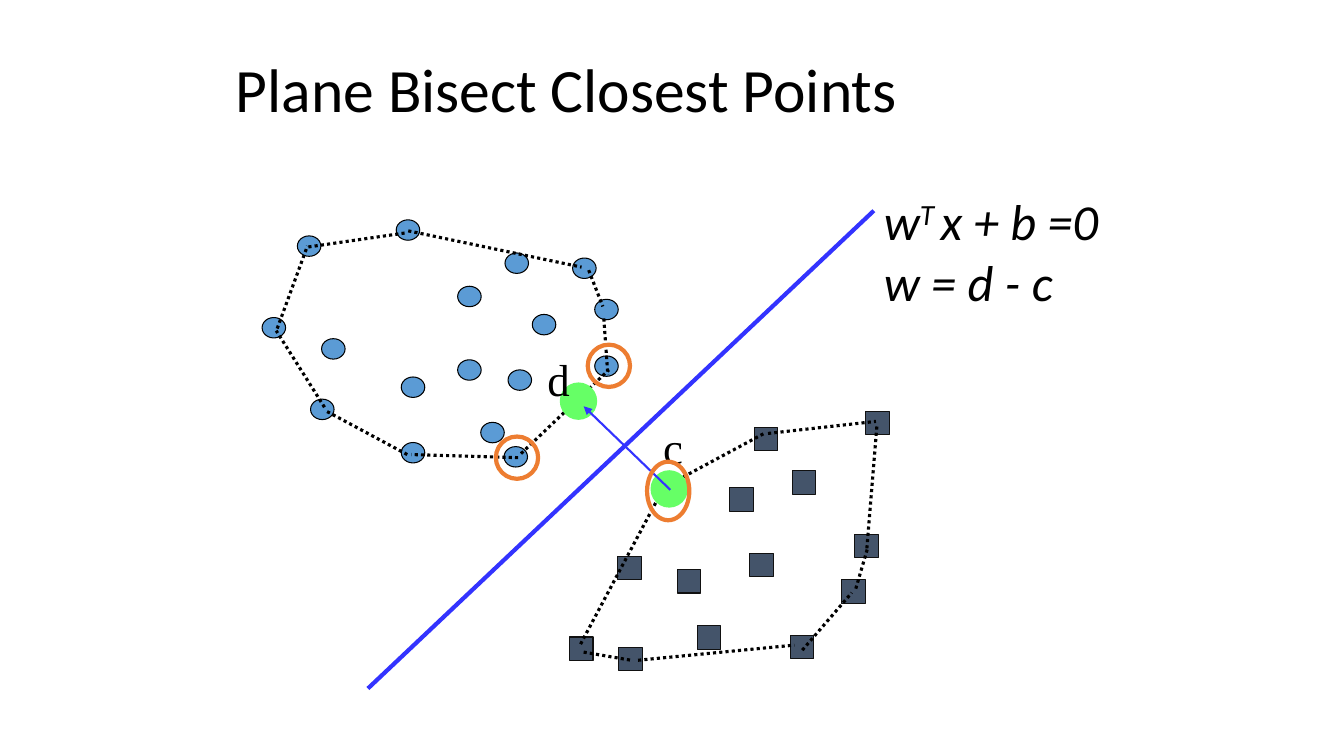
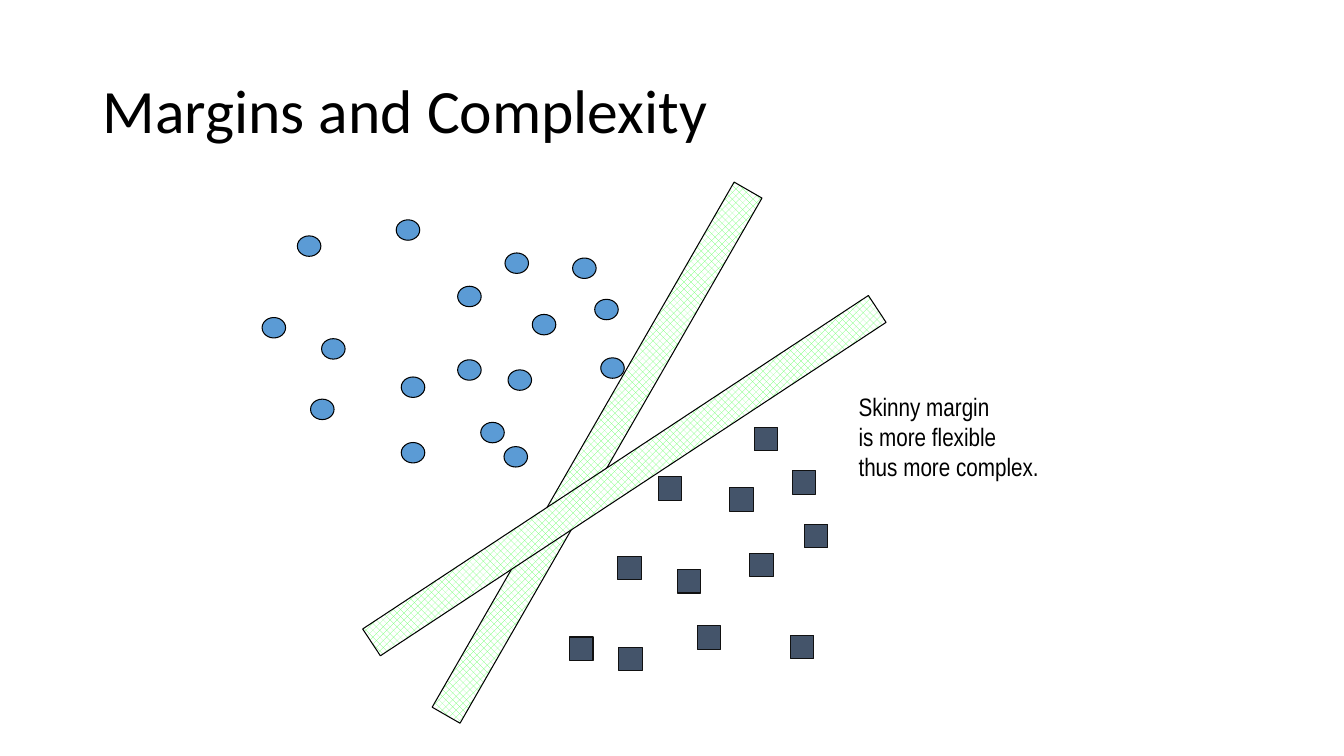
import dataclasses

import pptx
import pptx.dml.color
import pptx.enum.dml
import pptx.enum.shapes
import pptx.enum.text
import pptx.oxml.ns
import pptx.util
from lxml import etree

Pt = pptx.util.Pt
Shapes = pptx.enum.shapes.MSO_SHAPE


@dataclasses.dataclass(frozen=True)
class Theme:
    black: str = "000000"
    white: str = "FFFFFF"
    circle: str = "5B9BD5"
    square: str = "44546A"
    square_line: str = "111111"
    plane: str = "3333FF"
    green: str = "66FF66"
    ring: str = "ED7D31"
    body_font: str = "Calibri"
    label_font: str = "Times New Roman"
    note_font: str = "Arial Narrow"
    title_size: int = 44
    equation_size: int = 36
    label_size: int = 32
    note_size: int = 18
    thin: float = 0.75
    arrow: float = 1.5
    medium: float = 2.25
    thick: float = 3


THEME = Theme()

# All positions below are in points, measured from the corner of PLOT_BOX.
PLOT_BOX = (180, 144)
CIRCLE_SIZE = (16.8, 14.6)
SQUARE_SIZE = (16.8, 16.8)
CIRCLES = [
    (32.4, 24.5), (7.2, 82.8), (49.7, 97.9), (200.2, 80.6), (146.9, 60.5),
    (41.8, 141.1), (244.8, 69.8), (182.9, 120.2), (106.6, 125.3), (106.6, 172.1),
    (180.7, 36.7), (180, 175), (229, 40.3), (146.9, 113), (163.4, 157.7), (103, 13),
]
SQUARES = [
    (290.2, 196.6), (385.9, 192.2), (261.4, 253.4), (262.1, 318.2), (226.8, 311),
    (318.2, 303.1), (384.5, 309.6), (355.7, 251.3), (358.6, 161.3), (341.3, 204.5),
    (303.8, 262.8),
]
HULL_EDGES = [
    (192.2, 180, 254.9, 120.2), (110.9, 180.7, 51.8, 149),
    (190.1, 182.9, 113.8, 180.7), (51.8, 146.9, 17.3, 92.2),
    (18, 90.7, 39.6, 31.7), (40.3, 32.4, 110.2, 22.3),
    (111.6, 20.9, 235.4, 46.8), (240.5, 49, 250.6, 74.9),
    (251.3, 83.5, 254.2, 123.8), (234.7, 316.1, 295.2, 202.3),
    (300.2, 200.9, 365.8, 165.6), (275.8, 327.6, 387.4, 316.8),
    (236.9, 321.8, 270.7, 327.6), (393.1, 320.4, 428.4, 279.4),
    (431.3, 276.5, 439.9, 247), (368.6, 165.6, 445.7, 157),
    (439.2, 247.7, 446.4, 159.8),
]
CLOSEST_POINTS = [(221, 130.3), (285.8, 193)]
RINGS = [(282.2, 185.8, 30.2, 41.8), (174.2, 167.8, 30.2, 30.2), (239.8, 102.2, 30.2, 30.2)]


def rgb(value):
    return pptx.dml.color.RGBColor.from_string(value)


def add_titled_slide(presentation, title, left, top, width, height):
    slide = presentation.slides.add_slide(presentation.slide_layouts.get_by_name("Title Only"))
    shape = slide.shapes.title
    shape.left, shape.top, shape.width, shape.height = map(Pt, (left, top, width, height))
    frame = shape.text_frame
    frame.text = title
    frame.vertical_anchor = pptx.enum.text.MSO_ANCHOR.MIDDLE
    paragraph = frame.paragraphs[0]
    paragraph.alignment = pptx.enum.text.PP_ALIGN.LEFT
    paragraph.line_spacing = 0.9
    format_run(paragraph.runs[0], THEME.body_font, THEME.title_size)
    return slide


def format_run(run, font, size, italic=None):
    run.font.name = font
    run.font.size = Pt(size)
    run.font.italic = italic
    run.font.color.rgb = rgb(THEME.black)


def add_shape(slide, box, kind, left, top, width, height, line, weight, fill=None):
    shape = slide.shapes.add_shape(
        kind, Pt(box[0] + left), Pt(box[1] + top), Pt(width), Pt(height))
    shape.shadow.inherit = False
    shape.line.color.rgb = rgb(line)
    shape.line.width = Pt(weight)
    if fill:
        shape.fill.solid()
        shape.fill.fore_color.rgb = rgb(fill)
    else:
        shape.fill.background()
    return shape


def add_line(slide, box, ends, color, weight, dash=None, arrow=False):
    x1, y1, x2, y2 = ends
    line = slide.shapes.add_connector(
        pptx.enum.shapes.MSO_CONNECTOR.STRAIGHT,
        Pt(box[0] + x1), Pt(box[1] + y1), Pt(box[0] + x2), Pt(box[1] + y2))
    line.line.color.rgb = rgb(color)
    line.line.width = Pt(weight)
    if dash:
        line.line.dash_style = dash
    if arrow:
        tail = etree.SubElement(line.line._get_or_add_ln(), pptx.oxml.ns.qn("a:tailEnd"))
        tail.set("type", "triangle")
    etree.SubElement(line._element.spPr, pptx.oxml.ns.qn("a:effectLst"))


def add_text(slide, box, place, lines, font, size, italic=None):
    """Each line is a list of (text, superscript) pairs."""
    left, top, width, height = place
    shape = slide.shapes.add_textbox(
        Pt(box[0] + left), Pt(box[1] + top), Pt(width), Pt(height))
    frame = shape.text_frame
    frame.word_wrap = False
    for index, parts in enumerate(lines):
        paragraph = frame.add_paragraph() if index else frame.paragraphs[0]
        for text, superscript in parts:
            run = paragraph.add_run()
            run.text = text
            format_run(run, font, size, italic)
            if superscript:
                run._r.get_or_add_rPr().set("baseline", "30000")


def add_point_clouds(slide, box, extra_circles, extra_squares):
    """Place the shared points of both classes and those of this slide alone."""
    for position in CIRCLES + extra_circles:
        add_shape(slide, box, Shapes.OVAL, *position, *CIRCLE_SIZE,
                  THEME.black, THEME.thin, THEME.circle)
    for position in SQUARES + extra_squares:
        add_shape(slide, box, Shapes.RECTANGLE, *position, *SQUARE_SIZE,
                  THEME.square_line, THEME.thin, THEME.square)


def add_hulls_and_plane(slide, box):
    add_line(slide, box, (82.8, 347.8, 444.2, 6.5), THEME.plane, THEME.thick)
    for edge in HULL_EDGES:
        add_line(slide, box, edge, THEME.black, THEME.medium,
                 dash=pptx.enum.dml.MSO_LINE.ROUND_DOT)


def add_closest_points(slide, box):
    for position in CLOSEST_POINTS:
        add_shape(slide, box, Shapes.OVAL, *position, 24.5, 24.5,
                  THEME.green, THEME.medium, THEME.green)
    add_line(slide, box, (298.8, 205.9, 236.9, 146.2), THEME.plane, THEME.arrow, arrow=True)
    for letter, left, top, width in (("d", 203.8, 103.7, 30.2), ("c", 286.6, 152.6, 28.8)):
        add_text(slide, box, (left, top, width, 45.4), [[(letter, False)]],
                 THEME.label_font, THEME.label_size)
    for ring in RINGS:
        add_shape(slide, box, Shapes.OVAL, *ring, THEME.ring, THEME.thick)


def add_margin_bar(slide, box, left, top, rotation):
    bar = add_shape(slide, box, Shapes.RECTANGLE, left, top, 432.7, 23,
                    THEME.black, THEME.thin)
    bar.rotation = rotation
    bar.fill.patterned()
    bar.fill.pattern = pptx.enum.dml.MSO_PATTERN.PERCENT_50
    bar.fill.fore_color.rgb = rgb(THEME.green)
    bar.fill.back_color.rgb = rgb(THEME.white)


def build_bisect_slide(presentation, box):
    slide = add_titled_slide(presentation, "Plane Bisect Closest Points", 161.3, 20.2, 656.6, 92.2)
    add_point_clouds(slide, box, [(244.8, 110.2)],
                     [(421.2, 270), (430.6, 237.6), (438.5, 149.8)])
    add_hulls_and_plane(slide, box)
    add_closest_points(slide, box)
    equation = [[("w", False), ("T ", True), ("x + b =0", False)], [("w = d - c", False)]]
    add_text(slide, box, (444.2, -11.5, 171.4, 94.3), equation,
             THEME.body_font, THEME.equation_size, italic=True)


def build_margins_slide(presentation, box):
    slide = add_titled_slide(presentation, "Margins and Complexity", 66.2, 28.8, 828, 104.4)
    add_point_clouds(slide, box, [(249.1, 111.6)], [(394.6, 230.4)])
    note = ["Skinny margin", "is more flexible", "thus more complex."]
    add_text(slide, box, (426.2, 131.8, 172.8, 72.7), [[(line, False)] for line in note],
             THEME.note_font, THEME.note_size)
    add_margin_bar(slide, box, 30.2, 167.8, 299.9)
    add_margin_bar(slide, box, 49.7, 184.3, 326.6)


def main():
    presentation = pptx.Presentation()
    presentation.slide_width, presentation.slide_height = Pt(960), Pt(540)
    build_bisect_slide(presentation, PLOT_BOX)
    build_margins_slide(presentation, PLOT_BOX)
    presentation.save("out.pptx")


if __name__ == "__main__":
    main()
